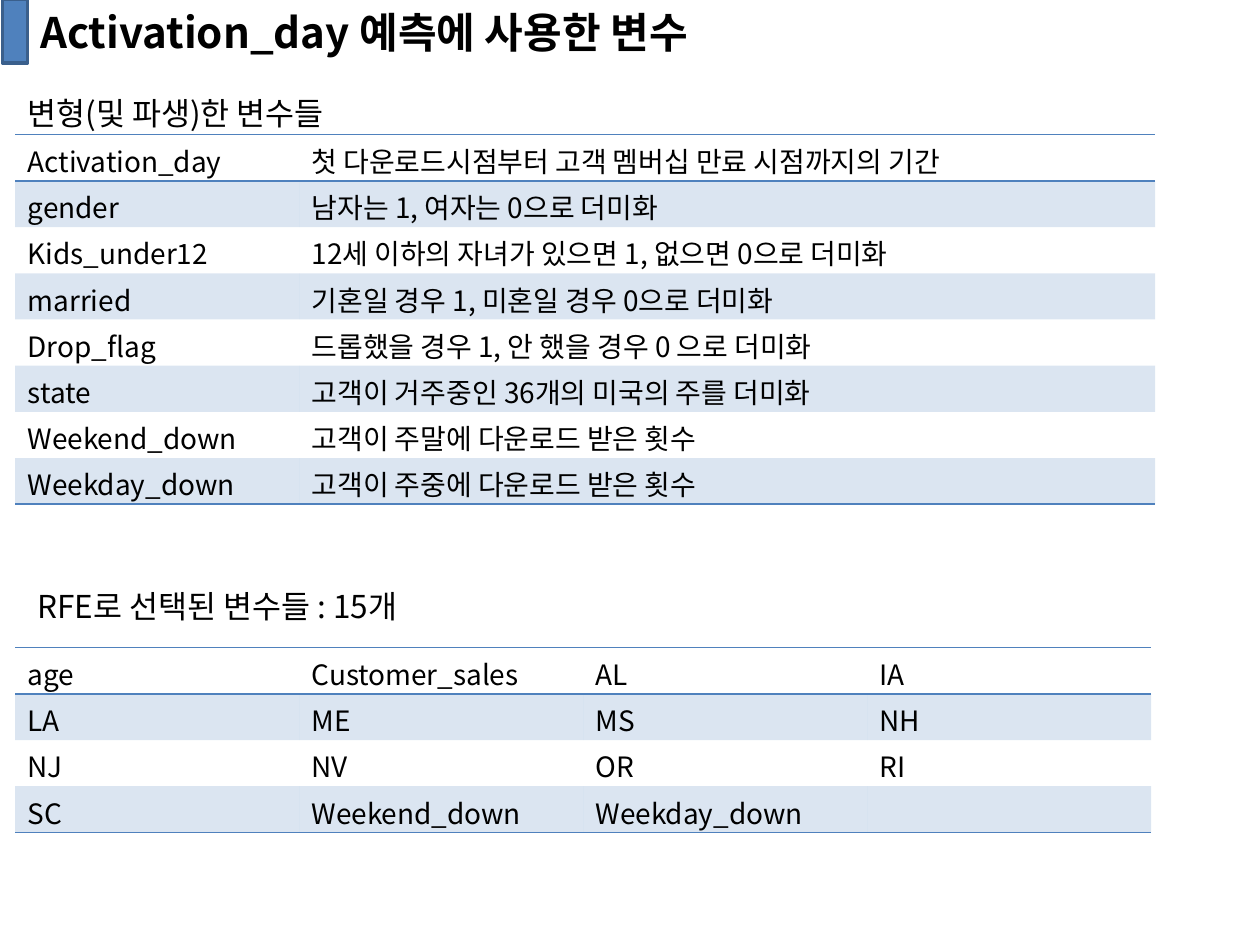
import dataclasses

import pptx
import pptx.dml.color
import pptx.enum.shapes
import pptx.enum.text
import pptx.oxml
import pptx.oxml.ns
import pptx.util

Pt = pptx.util.Pt
RGB = pptx.dml.color.RGBColor
qn = pptx.oxml.ns.qn
NS = pptx.oxml.ns.nsdecls("a")


@dataclasses.dataclass(frozen=True)
class Theme:
    font: str = "Noto Sans CJK KR"
    text: str = "000000"
    accent: str = "4F81BD"
    accent_line: str = "3A5F8C"
    band_alpha: int = 20
    rule_width: float = 1
    title: float = 24
    heading: float = 18
    body: float = 16
    no_grid_style: str = "{2D5ABB26-0587-4C30-8999-92F81FD0307C}"


THEME = Theme()
ROW_HEIGHT = 26.4
TABLE_LEFT = 8.64

DERIVED_VARIABLES = [
    ("Activation_day", "첫 다운로드시점부터 고객 멤버십 만료 시점까지의 기간"),
    ("gender", "남자는 1, 여자는 0으로 더미화"),
    ("Kids_under12", "12세 이하의 자녀가 있으면 1, 없으면 0으로 더미화"),
    ("married", "기혼일 경우 1, 미혼일 경우 0으로 더미화"),
    ("Drop_flag", "드롭했을 경우 1, 안 했을 경우 0 으로 더미화"),
    ("state", "고객이 거주중인 36개의 미국의 주를 더미화"),
    ("Weekend_down", "고객이 주말에 다운로드 받은 횟수"),
    ("Weekday_down", "고객이 주중에 다운로드 받은 횟수"),
]
SELECTED_VARIABLES = [
    ("age", "Customer_sales", "AL", "IA"),
    ("LA", "ME", "MS", "NH"),
    ("NJ", "NV", "OR", "RI"),
    ("SC", "Weekend_down", "Weekday_down", ""),
]


def set_attributes(obj, values):
    for name, value in values.items():
        setattr(obj, name, value)


def write(tf, text, size, bold=False):
    r = tf.paragraphs[0].add_run()
    r.text = text
    set_attributes(r.font, {"name": THEME.font, "size": Pt(size), "bold": bold})
    r.font.color.rgb = RGB.from_string(THEME.text)
    # Korean glyphs take their font from a:ea
    r.font._element.append(pptx.oxml.parse_xml(f'<a:ea {NS} typeface="{THEME.font}"/>'))


def add_text(slide, box, text, size, bold=False, wrap=True):
    tf = slide.shapes.add_textbox(*map(Pt, box)).text_frame
    set_attributes(tf, {
        "word_wrap": wrap,
        "auto_size": pptx.enum.text.MSO_AUTO_SIZE.SHAPE_TO_FIT_TEXT,
    })
    write(tf, text, size, bold)


def add_rule(cell, side):
    """Draw a cell border; side is lnT or lnB."""
    cell._tc.get_or_add_tcPr().append(pptx.oxml.parse_xml(
        f'<a:{side} {NS} w="{Pt(THEME.rule_width)}"><a:solidFill>'
        f'<a:srgbClr val="{THEME.accent}"/></a:solidFill></a:{side}>'))


def fill_band(cell):
    cell.fill.solid()
    cell.fill.fore_color.rgb = RGB.from_string(THEME.accent)
    color = cell._tc.tcPr.find(qn("a:solidFill")).find(qn("a:srgbClr"))
    color.append(pptx.oxml.parse_xml(
        f'<a:alpha {NS} val="{THEME.band_alpha * 1000}"/>'))


def add_banded_table(slide, top, widths, rows):
    frame = slide.shapes.add_table(
        len(rows), len(widths), Pt(TABLE_LEFT), Pt(top),
        Pt(sum(widths)), Pt(ROW_HEIGHT * len(rows)))
    table = frame.table
    set_attributes(table, {"first_row": False, "horz_banding": False})
    table._tbl.tblPr.find(qn("a:tableStyleId")).text = THEME.no_grid_style
    for column, width in zip(table.columns, widths):
        column.width = Pt(width)
    for i, values in enumerate(rows):
        table.rows[i].height = Pt(ROW_HEIGHT)
        for cell, text in zip(table.rows[i].cells, values):
            set_attributes(cell, {"margin_top": Pt(3.2), "margin_bottom": 0})
            write(cell.text_frame, text, THEME.body)
            if i == 0:
                add_rule(cell, "lnT")
            if i in (0, len(rows) - 1):
                add_rule(cell, "lnB")
            if i % 2:
                fill_band(cell)
            else:
                cell.fill.background()


def add_title_marker(slide):
    sp = slide.shapes.add_shape(
        pptx.enum.shapes.MSO_SHAPE.RECTANGLE, Pt(1.44), Pt(-0.72), Pt(14.4), Pt(36.72))
    sp.shadow.inherit = False
    sp.fill.solid()
    sp.fill.fore_color.rgb = RGB.from_string(THEME.accent)
    sp.line.color.rgb = RGB.from_string(THEME.accent_line)
    sp.line.width = Pt(2)


def main():
    prs = pptx.Presentation()
    set_attributes(prs, {"slide_width": Pt(720), "slide_height": Pt(540)})
    slide = prs.slides.add_slide(prs.slide_layouts[6])
    add_text(slide, (14.4, 331.9, 238.3, 28.8), "RFE로 선택된 변수들 : 15개", THEME.heading)
    add_banded_table(slide, 370.1, [162.3] * 4, SELECTED_VARIABLES)
    add_text(slide, (8.64, 50.4, 226.8, 28.8), "변형(및 파생)한 변수들", THEME.heading)
    add_banded_table(slide, 77, [162.3, 489.2], DERIVED_VARIABLES)
    add_title_marker(slide)
    add_text(slide, (15.84, 0, 402.5, 36), "Activation_day 예측에 사용한 변수",
             THEME.title, bold=True, wrap=False)
    prs.save("out.pptx")


if __name__ == "__main__":
    main()
